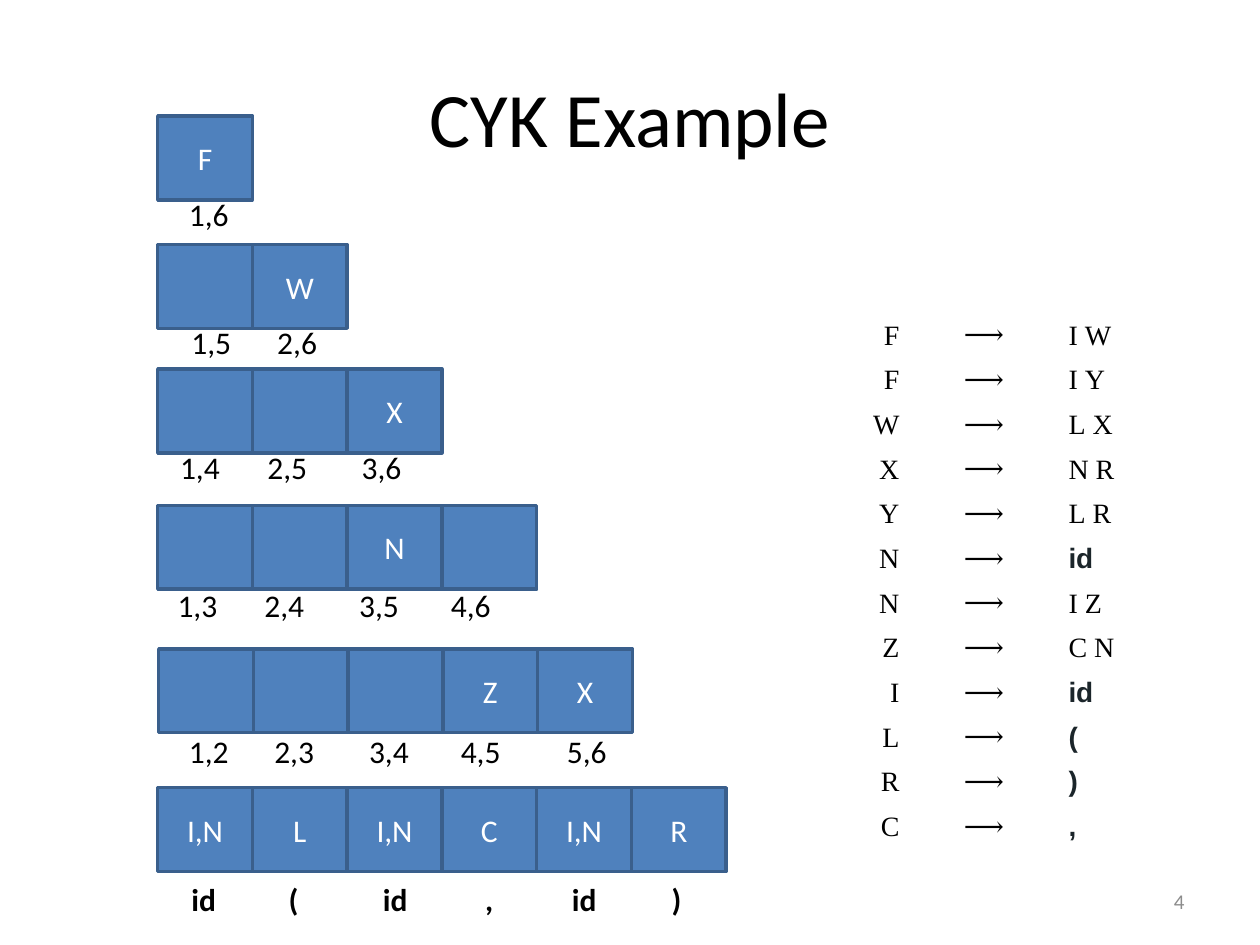
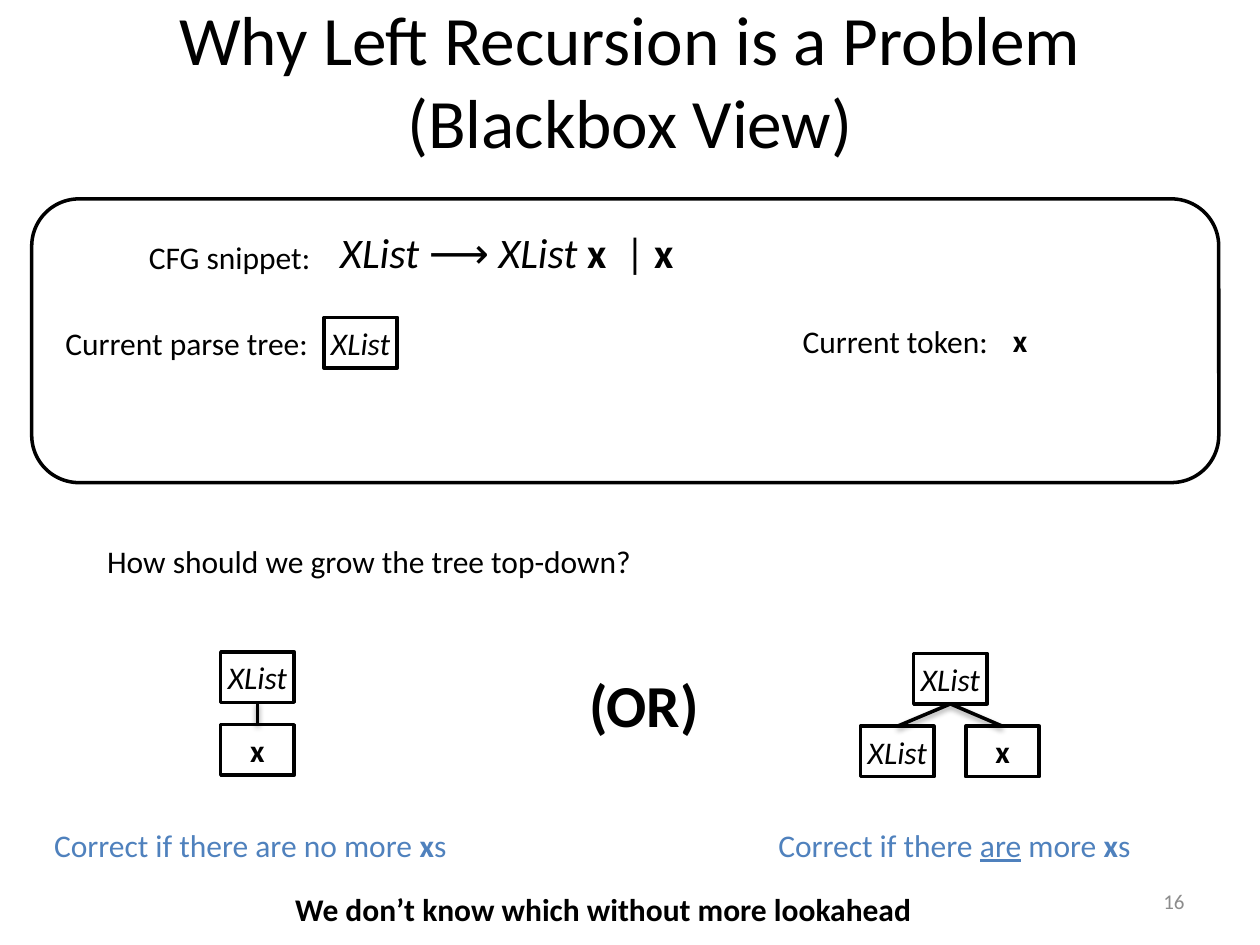
import pptx
import pptx.dml.color
import pptx.enum.shapes
import pptx.enum.text
import pptx.oxml
import pptx.oxml.ns
import pptx.util

Cm = pptx.util.Cm
ALIGN = pptx.enum.text.PP_ALIGN
ANCHOR = pptx.enum.text.MSO_ANCHOR
AUTOSIZE = pptx.enum.text.MSO_AUTO_SIZE
SHAPE = pptx.enum.shapes.MSO_SHAPE

BLACK, WHITE, GREY = "000000", "FFFFFF", "8C8C8C"
BLUE, DARK_BLUE, TERMINAL = "4F81BD", "3A5F8C", "1B252A"
BODY_FONT = "Calibri"
TITLE_ONLY = 5
ARROW = "\u27f6"


# ---- Shared helpers; all lengths are centimetres ----
def rgb(value):
    return pptx.dml.color.RGBColor.from_string(value)


def write(paragraph, runs, size=18, color=BLACK, align=ALIGN.LEFT,
          font=BODY_FONT, bold=None, italic=None):
    """Write a string, or (text, marks) pairs with marks from b, i and u."""
    paragraph.alignment = align
    style = paragraph.font
    style.name, style.size = font, pptx.util.Pt(size)
    style.bold, style.italic = bold, italic
    style.color.rgb = rgb(color)
    if isinstance(runs, str):
        runs = [(runs, "")]
    for text, marks in runs:
        run = paragraph.add_run()
        run.text = text
        if "b" in marks:
            run.font.bold = True
        if "i" in marks:
            run.font.italic = True
        if "u" in marks:
            run.font.underline = True


def add_label(slide, left, top, width, runs, height=1.02, wrap=False, **style):
    frame = slide.shapes.add_textbox(
        Cm(left), Cm(top), Cm(width), Cm(height)).text_frame
    frame.word_wrap = wrap
    frame.auto_size = AUTOSIZE.SHAPE_TO_FIT_TEXT
    write(frame.paragraphs[0], runs, **style)
    return frame


def add_box(slide, left, top, width, height, fill, line, kind=SHAPE.RECTANGLE):
    box = slide.shapes.add_shape(
        kind, Cm(left), Cm(top), Cm(width), Cm(height))
    box.shadow.inherit = False
    box.fill.solid()
    box.fill.fore_color.rgb = rgb(fill)
    box.line.color.rgb = rgb(line)
    box.line.width = pptx.util.Pt(2)
    return box


def add_titled_slide(deck, title, number, top, height, size):
    slide = deck.slides.add_slide(deck.slide_layouts[TITLE_ONLY])
    heading = slide.shapes.title
    margin = 1.27 if top else 0
    heading.left, heading.top = Cm(margin), Cm(top)
    heading.width, heading.height = Cm(25.4 - 2 * margin), Cm(height)
    frame = heading.text_frame
    frame.word_wrap = True
    frame.auto_size = AUTOSIZE.NONE
    frame.vertical_anchor = ANCHOR.MIDDLE
    frame.text = title
    heading_font = frame.paragraphs[0].font
    frame.paragraphs[0].alignment = ALIGN.CENTER
    heading_font.name, heading_font.size = BODY_FONT, pptx.util.Pt(size)
    heading_font.color.rgb = rgb(BLACK)
    # Slide number, bottom right
    footer = add_label(slide, 18.2, 17.65, 5.93, str(number), wrap=True,
                       size=12, color=GREY, align=ALIGN.RIGHT)
    footer.auto_size = AUTOSIZE.NONE
    footer.vertical_anchor = ANCHOR.MIDDLE
    return slide


# ---- CYK chart and grammar ----
CELL_WIDTH, CELL_HEIGHT = 1.91, 1.69

# Top, left, cell contents, distance to the labels, left of each label
CHART_ROWS = [
    (2.34, 3.18, ["F"], 1.47, [0.38]),
    (4.93, 3.18, ["", "W"], 1.45, [0.43, 2.16]),
    (7.44, 3.18, ["", "", "X"], 1.47, [0.2, 1.96, 3.86]),
    (10.19, 3.18, ["", "", "N", ""], 1.5, [0.15, 1.9, 3.81, 5.66]),
    (13.08, 3.2, ["", "", "", "Z", "X"], 1.55, [0.36, 2.08, 3.99, 5.84, 7.98]),
    (15.88, 3.18, ["I,N", "L", "I,N", "C", "I,N", "R"], 1.73,
     [0.43, 2.39, 4.29, 6.35, 8.1, 10.11]),
]
TOKENS = ["id", "(", "id", ",", "id", ")"]
TOKEN_WIDTHS = {"id": 1.02, "(": 0.71, ",": 0.69, ")": 0.71}

RULES = [("F", "I W"), ("F", "I Y"), ("W", "L X"), ("X", "N R"),
         ("Y", "L R"), ("N", "id"), ("N", "I Z"), ("Z", "C N"),
         ("I", "id"), ("L", "("), ("R", ")"), ("C", ",")]


def add_chart_row(slide, left, top, symbols):
    for column, symbol in enumerate(symbols):
        cell = add_box(slide, left + column * CELL_WIDTH, top,
                       CELL_WIDTH, CELL_HEIGHT, BLUE, DARK_BLUE)
        if symbol:
            write(cell.text_frame.paragraphs[0], symbol,
                  color=WHITE, align=ALIGN.CENTER)


def add_cyk_chart(slide):
    for top, left, symbols, drop, offsets in CHART_ROWS:
        add_chart_row(slide, left, top, symbols)
        count = len(symbols)
        is_input = count == len(TOKENS)
        for start, offset in enumerate(offsets, 1):
            # A row of n cells covers spans of 7 - n tokens
            text = TOKENS[start - 1] if is_input else f"{start},{start + 6 - count}"
            add_label(slide, left + offset, top + drop,
                      TOKEN_WIDTHS.get(text, 1.32), text,
                      bold=True if is_input else None)


def add_grammar(slide, left, top, widths, row_height):
    grammar = slide.shapes.add_table(
        len(RULES), len(widths), Cm(left), Cm(top),
        Cm(sum(widths)), Cm(row_height * len(RULES))).table
    grammar.first_row = grammar.horz_banding = False
    for column, width in zip(grammar.columns, widths):
        column.width = Cm(width)
    for row, (head, body) in enumerate(RULES):
        grammar.rows[row].height = Cm(row_height)
        serif = {"font": "Times New Roman"}
        terminal = {"font": "Arial", "color": TERMINAL, "bold": True}
        parts = [
            (head, ALIGN.RIGHT, serif),
            (ARROW, ALIGN.CENTER, {"font": "Cambria"}),
            (body.replace(" ", "\u00a0"), ALIGN.LEFT,
             serif if body[0].isupper() else terminal),
        ]
        for column, (text, align, style) in enumerate(parts):
            cell = grammar.cell(row, column)
            cell.fill.solid()
            cell.fill.fore_color.rgb = rgb(WHITE)
            cell.vertical_anchor = ANCHOR.MIDDLE
            cell.margin_left = cell.margin_right = Cm(0.23)
            cell.margin_top = cell.margin_bottom = Cm(0.11)
            write(cell.text_frame.paragraphs[0], text, size=16,
                  align=align, **style)


# ---- Parse trees ----
NODE_WIDTH, NODE_HEIGHT = 1.48, 1.02


def add_node(slide, left, top, symbol):
    node = add_box(slide, left, top, NODE_WIDTH, NODE_HEIGHT, WHITE, BLACK)
    frame = node.text_frame
    frame.vertical_anchor = ANCHOR.TOP
    frame.auto_size = AUTOSIZE.SHAPE_TO_FIT_TEXT
    is_list = symbol == "XList"
    if is_list:
        frame.margin_left = frame.margin_right = Cm(0.12)
        frame.margin_top = frame.margin_bottom = Cm(0.13)
    write(frame.paragraphs[0], symbol, align=ALIGN.CENTER,
          italic=is_list or None, bold=not is_list or None)
    return node


def add_branch(slide, parent, child):
    branch = slide.shapes.add_connector(
        pptx.enum.shapes.MSO_CONNECTOR.STRAIGHT, 0, 0, 0, 0)
    branch.begin_connect(parent, 2)
    branch.end_connect(child, 0)
    branch.line.color.rgb = rgb(BLACK)
    branch.line.width = pptx.util.Pt(2)
    # Soft shadow straight below the line
    branch._element.spPr.append(pptx.oxml.parse_xml(
        f'<a:effectLst {pptx.oxml.ns.nsdecls("a")}>'
        '<a:outerShdw blurRad="40000" dist="20000" dir="5400000" rotWithShape="0">'
        f'<a:srgbClr val="{BLACK}"><a:alpha val="38000"/></a:srgbClr>'
        '</a:outerShdw></a:effectLst>'))


def add_tree(slide, left, top, children):
    """Draw a root with children, each given as (symbol, shift from the root)."""
    root = add_node(slide, left, top, "XList")
    for symbol, shift in children:
        child = add_node(slide, left + shift, top + 1.47, symbol)
        add_branch(slide, root, child)


def add_parser_state(slide, left, top, width, height):
    add_box(slide, left, top, width, height, WHITE, BLACK,
            SHAPE.ROUNDED_RECTANGLE)
    add_label(slide, left + 2.11, top + 0.66, 3.81, "CFG snippet:")
    add_label(slide, left + 5.97, top + 0.43, 10.16,
              [("XList ", "i"), (ARROW + " ", ""), ("XList ", "i"),
               ("x  ", "b"), ("| ", ""), ("x", "b")],
              height=1.27, wrap=True, size=24)
    add_label(slide, left + 0.43, top + 2.39, 5.46, "Current parse tree:")
    add_node(slide, left + 5.89, top + 2.39, "XList")
    add_label(slide, left + 15.29, top + 2.36, 4.29, "Current token:")
    add_label(slide, left + 19.53, top + 2.34, 0.81, "x", bold=True)


def add_choices(slide, left, top):
    add_label(slide, left + 1.07, top, 11.23,
              "How should we grow the tree top-down?")
    add_tree(slide, left + 3.61, top + 2.34, [("x", 0)])
    add_label(slide, left + 10.79, top + 2.54, 2.77, "(OR)",
              height=1.7, size=34, bold=True)
    add_tree(slide, left + 17.58, top + 2.37, [("XList", -1.07), ("x", 1.05)])
    add_label(slide, left, top + 5.72, 8.51,
              [("Correct if there are no more ", ""), ("x", "b"), ("s", "")],
              color=BLUE)
    add_label(slide, left + 14.6, top + 5.72, 7.85,
              [("Correct if there ", ""), ("are", "u"), (" more ", ""),
               ("x", "b"), ("s", "")], color=BLUE)
    add_label(slide, left + 4.34, top + 7.01, 13.97,
              "We don\u2019t know which without more lookahead",
              wrap=True, align=ALIGN.CENTER, bold=True)


# ---- Deck ----
deck = pptx.Presentation()
deck.slide_width, deck.slide_height = Cm(25.4), Cm(19.05)

cyk = add_titled_slide(deck, "CYK Example", 4, 0.76, 3.18, 44)
add_cyk_chart(cyk)
add_grammar(cyk, 15.52, 6.32, [2.84, 2.95, 2.84], 0.9)

recursion = add_titled_slide(
    deck, "Why Left Recursion is a Problem\v(Blackbox View)", 16, 0, 3.18, 39.6)
add_parser_state(recursion, 0.64, 4.01, 23.93, 5.72)
add_choices(recursion, 0.84, 10.8)

deck.save("out.pptx")
